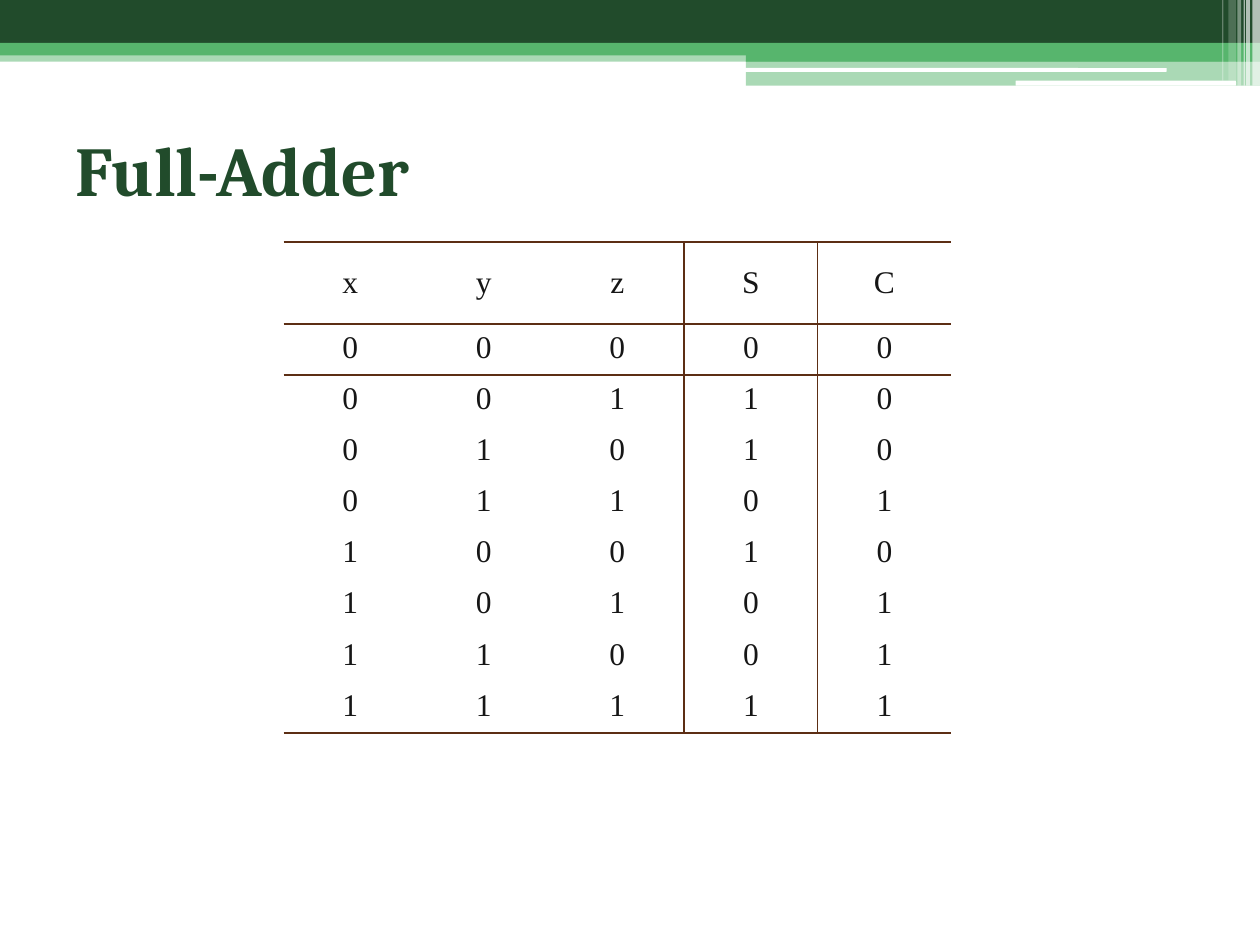
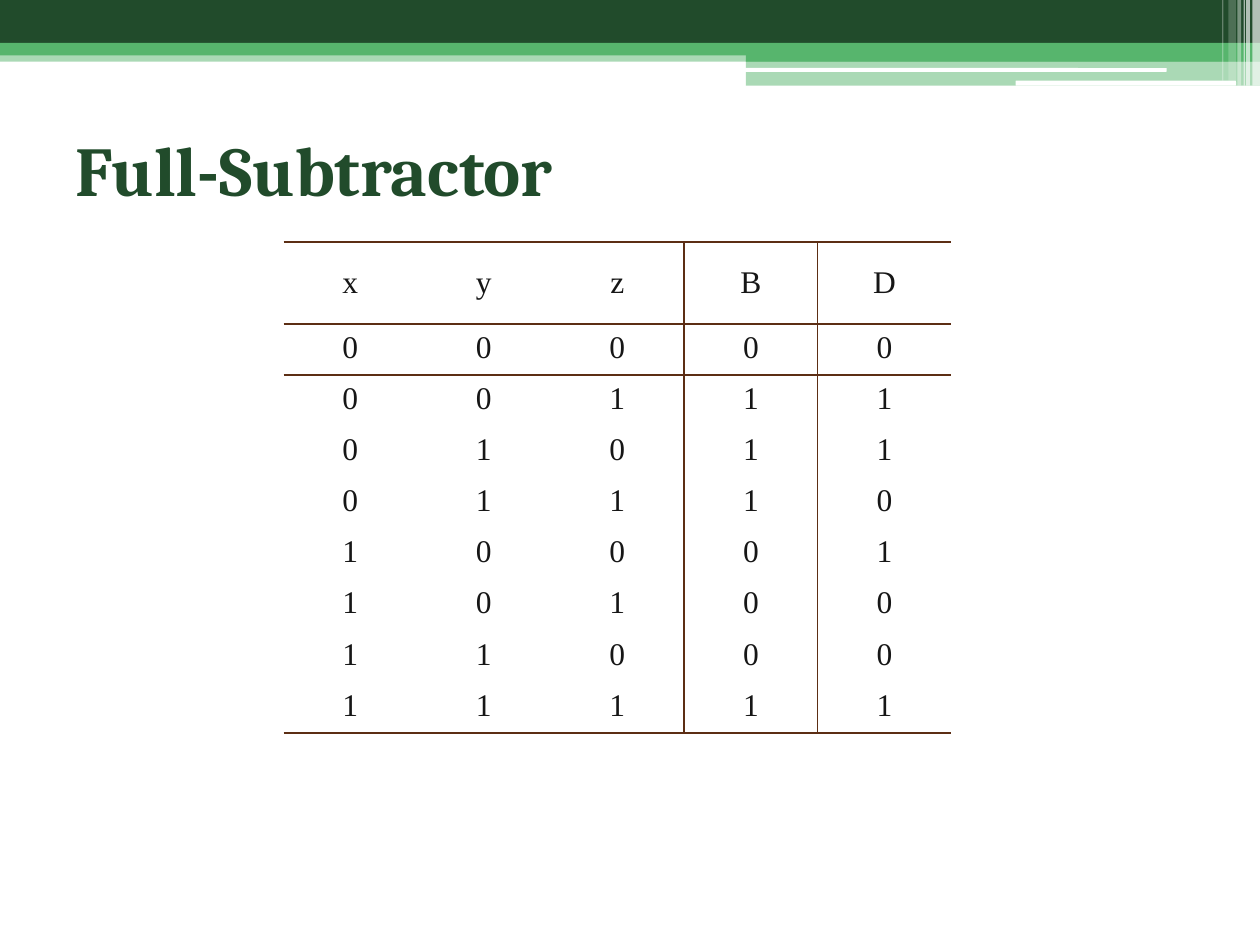
from itertools import product

from lxml import etree
from pptx import Presentation
from pptx import util as u
from pptx.dml.color import RGBColor
from pptx.enum import shapes, text
from pptx.oxml import ns

COLOURS = {
    "dark": "214B2B",
    "green": "57B56D",
    "white": "FFFFFF",
    "rule": "5C2E14",
    "ink": "161616",
}
TITLE_FORMAT = {"name": "Cambria", "size": u.Pt(40), "bold": True}
CELL_FORMAT = {"name": "Times New Roman", "size": u.Pt(18), "bold": False}
NO_GRID_STYLE = "{2D5ABB26-0587-4C30-8999-92F81FD0307C}"

RECTANGLE = shapes.MSO_SHAPE.RECTANGLE
ROUNDED = shapes.MSO_SHAPE.ROUNDED_RECTANGLE
BANDS = [
    (RECTANGLE, 0, 0.4, 10, 0.09, "green", 50),
    (RECTANGLE, 0, 0, 10, 0.34, "dark", 100),
    (RECTANGLE, 0, 0.34, 10, 0.1, "green", 100),
    (RECTANGLE, 5.92, 0.39, 4.08, 0.1, "green", 100),
    (RECTANGLE, 5.92, 0.48, 4.08, 0.2, "green", 50),
    (ROUNDED, 5.91, 0.54, 3.35, 0.03, "white", 100),
    (ROUNDED, 8.06, 0.64, 1.75, 0.04, "white", 100),
]
STRIPES = [
    (9.94, 0.06, 0.68, 65),
    (9.89, 0.03, 0.68, 65),
    (9.87, 0.01, 0.68, 60),
    (9.82, 0.03, 0.68, 40),
    (9.75, 0.06, 0.64, 20),
    (9.7, 0.01, 0.64, 30),
]
BANDS += [(RECTANGLE, left, 0, width, height, "white", opacity)
          for left, width, height, opacity in STRIPES]

HEADER_BOX = (0, 0)
TITLE_BOX = (0.5, 0.75, 9, 1.17)
TABLE_BOX = (2.25, 1.92, 5.3, 3.9)
HEADING_HEIGHT = 0.65
INPUTS = ["x", "y", "z"]
CIRCUITS = [
    ("Full-Adder", {"S": "01101001", "C": "00010111"}),
    ("Full-Subtractor", {"B": "01110001", "D": "01101001"}),
]


def colour(name):
    """Return the named palette colour."""
    return RGBColor.from_string(COLOURS[name])


def style_font(font, formats, colour_name):
    """Apply format values and a palette colour to a font."""
    for attribute, value in formats.items():
        setattr(font, attribute, value)
    font.color.rgb = colour(colour_name)


def add_header(slide, box):
    """Draw the layered bands and the fading stripes at their right end."""
    box_left, box_top = box
    for kind, left, top, width, height, fill, opacity in BANDS:
        shape = slide.shapes.add_shape(
            kind, u.Inches(box_left + left), u.Inches(box_top + top),
            u.Inches(width), u.Inches(height))
        shape.shadow.inherit = False
        shape.line.fill.background()
        shape.fill.solid()
        shape.fill.fore_color.rgb = colour(fill)
        if opacity < 100:
            solid = shape.element.spPr.find(ns.qn("a:solidFill"))
            etree.SubElement(solid[0], ns.qn("a:alpha"), val=str(opacity * 1000))


def add_title(slide, box, title):
    """Write the slide title, centred vertically in its box."""
    frame = slide.shapes.add_textbox(*map(u.Inches, box)).text_frame
    frame.word_wrap = True
    frame.vertical_anchor = text.MSO_ANCHOR.MIDDLE
    paragraph = frame.paragraphs[0]
    paragraph.text = title
    style_font(paragraph.runs[0].font, TITLE_FORMAT, "dark")


def add_borders(cell, sides):
    """Draw one-point rules on the given sides, listed in L, R, T, B order."""
    properties = cell._tc.get_or_add_tcPr()
    for position, side in enumerate(sides):
        line = etree.Element(ns.qn(f"a:ln{side}"), w=str(u.Pt(1)))
        solid = etree.SubElement(line, ns.qn("a:solidFill"))
        etree.SubElement(solid, ns.qn("a:srgbClr"), val=COLOURS["rule"])
        properties.insert(position, line)


def add_truth_table(slide, box, outputs):
    """Build a truth table with ruled headings and a rule before the outputs."""
    input_rows = product("01", repeat=len(INPUTS))
    rows = [INPUTS + list(outputs)]
    rows += [inputs + results
             for inputs, results in zip(input_rows, zip(*outputs.values()))]
    last_row, column_count = len(rows) - 1, len(rows[0])
    graphic = slide.shapes.add_table(
        len(rows), column_count, *map(u.Inches, box))
    graphic.element.find(".//" + ns.qn("a:tableStyleId")).text = NO_GRID_STYLE
    table = graphic.table
    table.first_row = table.horz_banding = False
    for column in table.columns:
        column.width = u.Inches(box[2] / column_count)
    for index, row in enumerate(table.rows):
        row.height = u.Inches(
            (box[3] - HEADING_HEIGHT) / last_row if index else HEADING_HEIGHT)

    for row_index, values in enumerate(rows):
        for column_index, value in enumerate(values):
            cell = table.cell(row_index, column_index)
            cell.fill.background()
            cell.vertical_anchor = (
                text.MSO_ANCHOR.TOP if row_index else text.MSO_ANCHOR.MIDDLE)
            paragraph = cell.text_frame.paragraphs[0]
            paragraph.text = value
            paragraph.alignment = text.PP_ALIGN.CENTER
            style_font(paragraph.runs[0].font, CELL_FORMAT, "ink")
            ruled = {
                "L": column_index == len(INPUTS),
                "R": column_index == len(INPUTS) - 1,
                "T": row_index <= 1,
                "B": row_index in (0, last_row),
            }
            add_borders(cell, [side for side, shown in ruled.items() if shown])


def add_circuit_slide(presentation, title, outputs):
    """Add a slide showing the truth table of one circuit."""
    slide = presentation.slides.add_slide(presentation.slide_layouts[6])
    slide.background.fill.solid()
    slide.background.fill.fore_color.rgb = colour("white")
    add_header(slide, HEADER_BOX)
    add_title(slide, TITLE_BOX, title)
    add_truth_table(slide, TABLE_BOX, outputs)


def main():
    """Build the presentation and save it."""
    presentation = Presentation()
    presentation.slide_width = u.Inches(10)
    presentation.slide_height = u.Inches(7.5)
    for title, outputs in CIRCUITS:
        add_circuit_slide(presentation, title, outputs)
    presentation.save("out.pptx")


if __name__ == "__main__":
    main()
